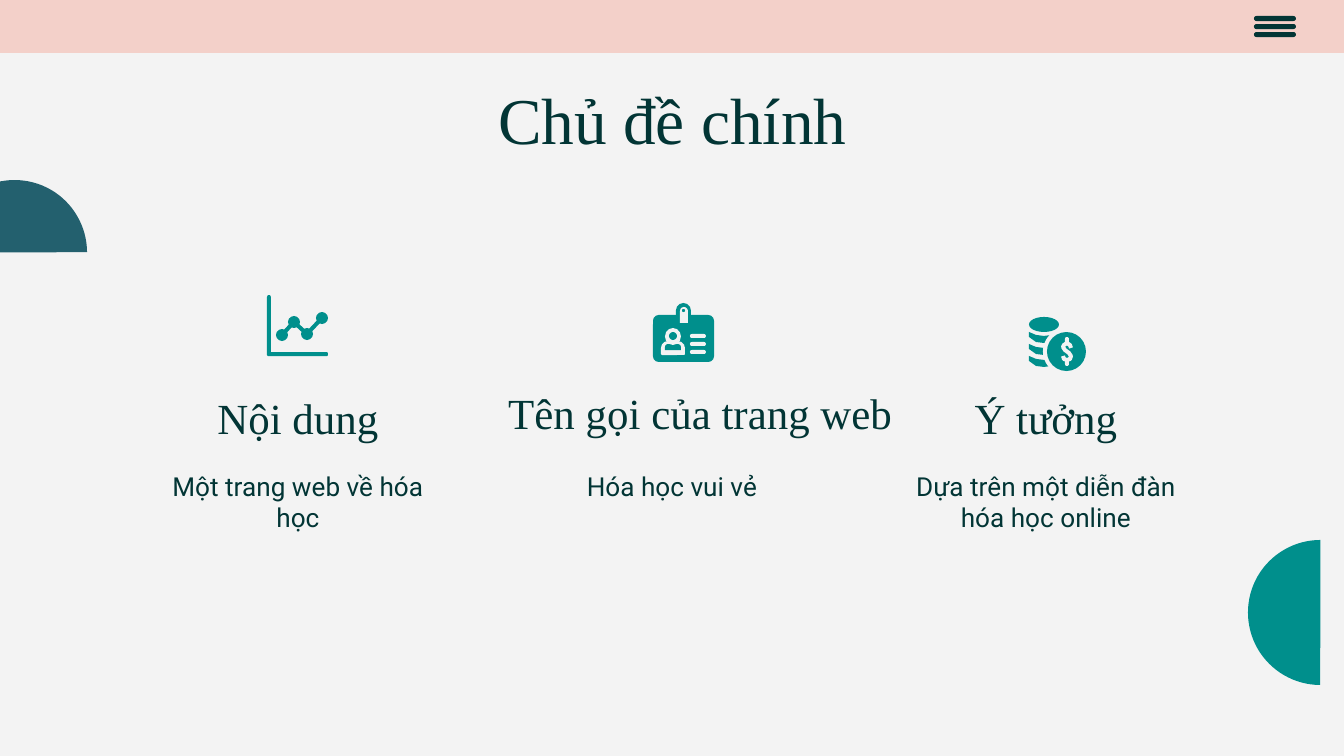
from pptx import Presentation
from pptx.dml.color import RGBColor
from pptx.enum.shapes import MSO_SHAPE
from pptx.enum.text import MSO_ANCHOR, PP_ALIGN
from pptx.util import Pt

PX = 6804
INK, TEAL, SLATE, PINK, PAPER = "023535", "008F8C", "23606E", "F3D0C9", "F3F3F3"
RECT, ROUND, OVAL = MSO_SHAPE.RECTANGLE, MSO_SHAPE.ROUNDED_RECTANGLE, MSO_SHAPE.OVAL
ARCH, PIE = MSO_SHAPE.ROUND_2_SAME_RECTANGLE, MSO_SHAPE.PIE

deck = Presentation()
deck.slide_width, deck.slide_height = 1344 * PX, 756 * PX
slide = deck.slides.add_slide(deck.slide_layouts[6])
slide.background.fill.solid()
slide.background.fill.fore_color.rgb = RGBColor.from_string(PAPER)


def paint(shape, fill=None, line=None):
    shape.shadow.inherit = False
    if fill:
        shape.fill.solid()
        shape.fill.fore_color.rgb = RGBColor.from_string(fill)
    else:
        shape.fill.background()
    if line:
        shape.line.color.rgb = RGBColor.from_string(line)
        shape.line.width = 4 * PX
    else:
        shape.line.fill.background()


def write(text, box, size, font, anchor=MSO_ANCHOR.TOP):
    frame = slide.shapes.add_textbox(*[side * PX for side in box]).text_frame
    frame.word_wrap = True
    frame.vertical_anchor = anchor
    frame.margin_left = frame.margin_right = 13 * PX
    frame.margin_top = frame.margin_bottom = 13 * PX
    paragraph = frame.paragraphs[0]
    paragraph.text = text
    paragraph.alignment = PP_ALIGN.CENTER
    paragraph.font.size = Pt(size)
    paragraph.font.name = font
    paragraph.font.color.rgb = RGBColor.from_string(INK)


backdrop = [
    (RECT, (0, 0, 1344, 53), PINK, []),
    (PIE, (1248, 540, 145, 145), TEAL, [54.21, 162]),
    (PIE, (-58, 180, 145, 145), SLATE, [108, 215.79]),
]
menu = [(ROUND, (1254, y, 42, 5), INK, [0.5]) for y in (16, 24, 32)]
trend_points = [(282, 335), (294, 322), (307, 334), (322, 318)]
trend = [(OVAL, (x - 6, y - 6, 12, 12), TEAL, []) for x, y in trend_points]
badge = [
    (ROUND, (653, 315, 61, 47), TEAL, [0.12]),
    (ARCH, (676, 303, 15, 20), TEAL, [0.5, 0]),
    (ARCH, (680, 307, 8, 16), PAPER, [0.5, 0]),
    (OVAL, (682, 309, 3, 3), TEAL, []),
    (ARCH, (661, 341, 24, 14), PAPER, [0.5, 0.1]),
    (ARCH, (665, 344, 16, 6), TEAL, [0.5, 0]),
    (OVAL, (665, 328, 16, 17), PAPER, []),
    (OVAL, (669, 332, 8, 8), TEAL, []),
]
badge += [(ROUND, (690, y, 16, 4), PAPER, [0.5]) for y in (334, 342, 350)]
coins = [
    (OVAL, (1043, 328, 47, 47), PAPER, []),
    (OVAL, (1029, 317, 30, 15), TEAL, []),
    (OVAL, (1047, 332, 39, 39), TEAL, []),
    (ROUND, (1065, 337, 4, 8), PAPER, [0.5]),
    (ROUND, (1065, 358, 4, 8), PAPER, [0.5]),
]

backdrop_group, menu_group, trend_group, badge_group, coin_group = [
    slide.shapes.add_group_shape() for _ in range(5)
]

axes = [(268, 295), (270, 295), (271, 297), (271, 352), (327, 352),
        (328, 353), (328, 355), (327, 356), (268, 356), (267, 355), (267, 297)]
band_edge = [(0, 0), (7, 3), (15, 4), (23, 3), (30, 0),
             (30, 5), (23, 10), (15, 11), (7, 10), (0, 5)]
outlines = [(trend_group, axes)]
for y in (332, 344, 356):
    outlines.append((coin_group, [(1029 + dx, y + dy) for dx, dy in band_edge]))
for group, points in outlines:
    outline = group.shapes.build_freeform(*points[0], scale=PX)
    outline.add_line_segments(points[1:])
    paint(outline.convert_to_shape(), TEAL)

for group, parts in [(backdrop_group, backdrop), (menu_group, menu), (trend_group, trend),
                     (badge_group, badge), (coin_group, coins)]:
    for kind, box, color, adjustments in parts:
        part = group.shapes.add_shape(kind, *[side * PX for side in box])
        for index, value in enumerate(adjustments):
            part.adjustments[index] = value
        paint(part, color)

dollar_points = [(1071, 348), (1070, 345), (1067, 343), (1064, 345), (1063, 347), (1065, 350),
                 (1069, 353), (1071, 356), (1070, 359), (1067, 360), (1064, 359), (1063, 356)]
for group, points, color in [(trend_group, trend_points, TEAL),
                             (coin_group, dollar_points, PAPER)]:
    stroke = group.shapes.build_freeform(*points[0], scale=PX)
    stroke.add_line_segments(points[1:], close=False)
    paint(stroke.convert_to_shape(), line=color)

write("Chủ đề chính", (106, 66, 1133, 85), 35, "Times New Roman")
topics = [
    ("Nội dung", (138, 393, 320, 63), "Một trang web về hóa học"),
    ("Tên gọi của trang web", (491, 388, 419, 63), "Hóa học vui vẻ"),
    ("Ý tưởng", (886, 393, 320, 63), "Dựa trên một diễn đàn hóa học online"),
]
for column, (heading, heading_box, detail) in enumerate(topics):
    write(heading, heading_box, 23, "Times New Roman", anchor=MSO_ANCHOR.BOTTOM)
    write(detail, (138 + 374 * column, 457, 320, 128), 14, "Roboto")

deck.save("out.pptx")
